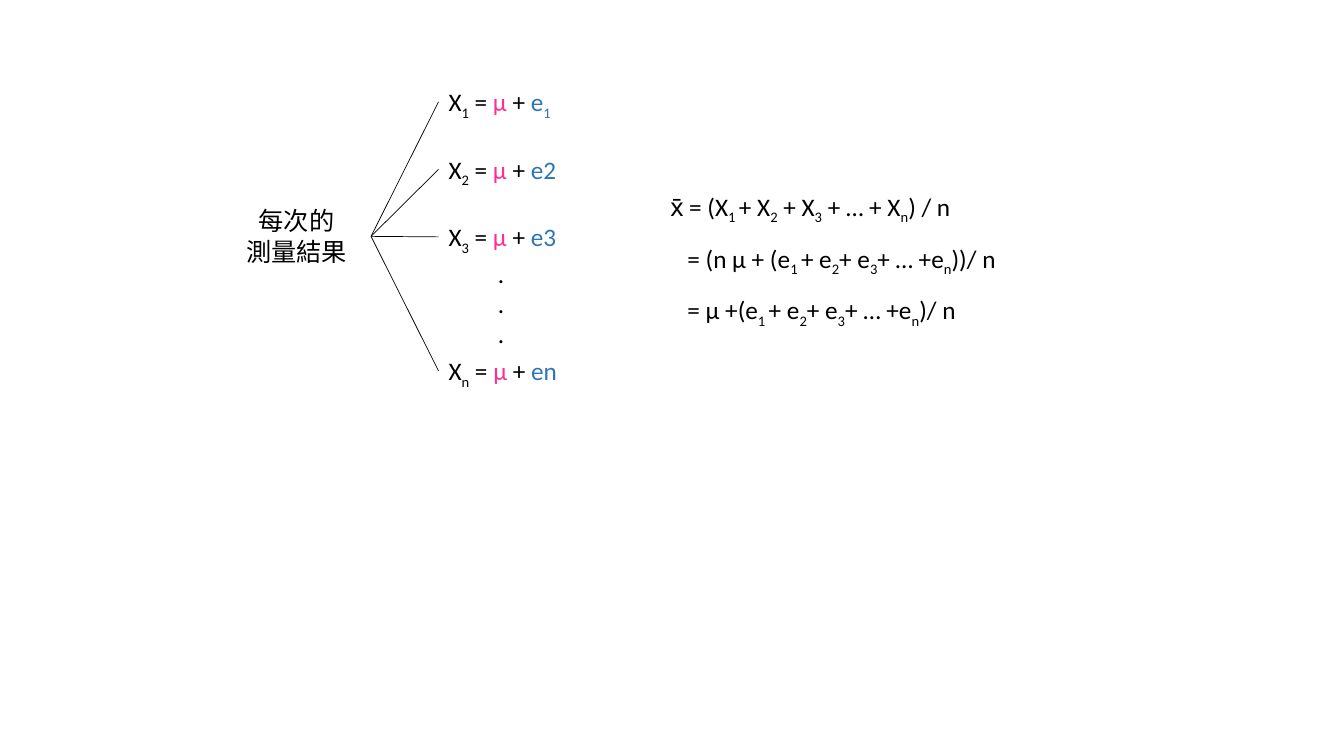
from lxml.etree import SubElement
from pptx import Presentation
from pptx.dml.color import RGBColor
from pptx.enum.shapes import MSO_CONNECTOR as Connector
from pptx.enum.text import MSO_AUTO_SIZE as AutoSize, PP_ALIGN as Align
from pptx.oxml.ns import qn
from pptx.util import Inches, Pt

BLACK = RGBColor(0x00, 0x00, 0x00)
PINK = RGBColor(0xFF, 0x2F, 0x92)
BLUE = RGBColor(0x2E, 0x75, 0xB6)

# Underscores enclose subscripts
ERROR_SUM = "(e_1 _+ e_2_+ e_3_+ … +e_n_)"
MEAN_LINES = [
    "x̄ = (X_1 _+ X_2_ + X_3_ + … + X_n_) / n",
    f"= (n μ + {ERROR_SUM})/ n",
    f"= μ +{ERROR_SUM}/ n",
]
# Subscript, error term and top of each measurement
MEASUREMENTS = [("1", "e_1_", 0.81), ("2", "e2", 1.48),
                ("3", "e3", 2.15), ("n", "en", 3.48)]


def add_text(para, text, color=BLACK, size=18, font="Calibri"):
    """Add text whose underscored parts become subscripts."""
    for index, piece in enumerate(text.split("_")):
        if not piece:
            continue
        span = para.add_run()
        span.text = piece
        span.font.name = font
        span.font.size = Pt(size)
        span.font.color.rgb = color
        if index % 2:
            span.font._element.set("baseline", "-25000")


def add_box(page, left, top, width, height, lines,
            align=Align.LEFT, spacing=None, indent=0):
    """Add a text box; each line is a list of (text, color) parts."""
    box = page.shapes.add_textbox(
        Inches(left), Inches(top), Inches(width), Inches(height))
    frame = box.text_frame
    frame.word_wrap = True
    frame.auto_size = AutoSize.SHAPE_TO_FIT_TEXT
    for index, parts in enumerate(lines):
        para = frame.add_paragraph() if index else frame.paragraphs[0]
        para.alignment = align
        if spacing:
            para.line_spacing = spacing
        if index and indent:
            para._p.get_or_add_pPr().set("marL", str(Inches(indent)))
        for text, color in parts:
            add_text(para, text, color=color)
    return box


def add_branch(page, source, target):
    """Join the right side of source to the left side of target."""
    branch = page.shapes.add_connector(Connector.STRAIGHT, 0, 0, 0, 0)
    branch.begin_connect(source, 3)
    branch.end_connect(target, 1)
    branch.line.color.rgb = BLACK
    branch.line.width = Pt(0.5)
    SubElement(branch._element.spPr, qn("a:effectLst"))


def main():
    deck = Presentation()
    deck.slide_width, deck.slide_height = Inches(13.33), Inches(7.5)
    page = deck.slides.add_slide(deck.slide_layouts[6])

    # Label at the root of the branches
    label = add_box(page, 2.2, 1.99, 1.48, 0.71,
                    [[("每次的", BLACK)], [("測量結果", BLACK)]],
                    align=Align.CENTER)

    # Measurements and their branches
    for subscript, error, top in MEASUREMENTS:
        parts = [(f"X_{subscript}_ = ", BLACK), ("μ ", PINK),
                 ("+ ", BLACK), (error, BLUE)]
        measurement = add_box(page, 4.35, top, 3.99, 0.4, [parts])
        add_branch(page, label, measurement)

    # Dots for the measurements left out
    add_box(page, 4.84, 2.51, 0.26, 1.01, [[(".", BLACK)]] * 3)

    # Derivation of the mean
    add_box(page, 6.55, 1.68, 3.57, 1.42,
            [[(line, BLACK)] for line in MEAN_LINES],
            spacing=1.5, indent=0.17)

    deck.save("out.pptx")


if __name__ == "__main__":
    main()
